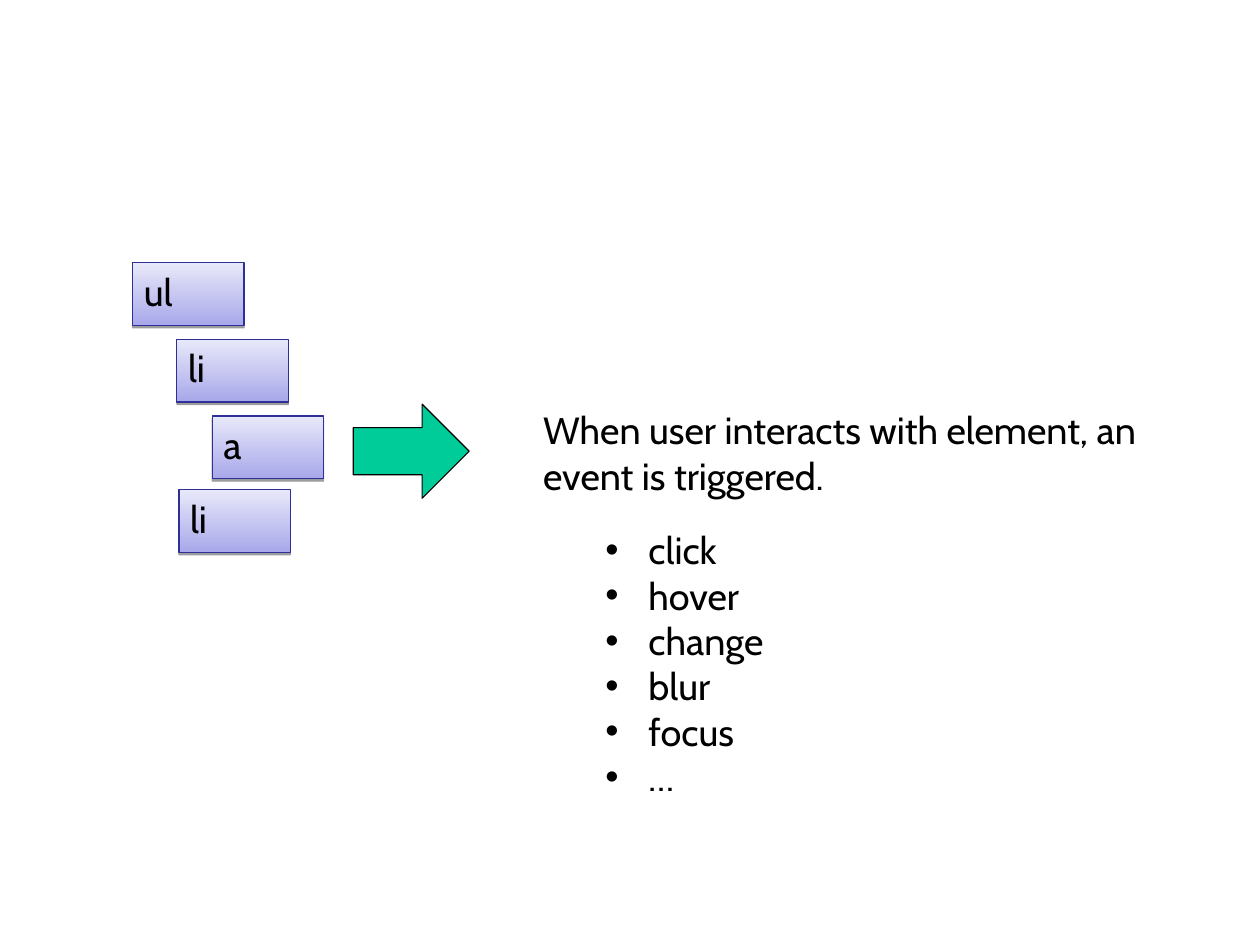
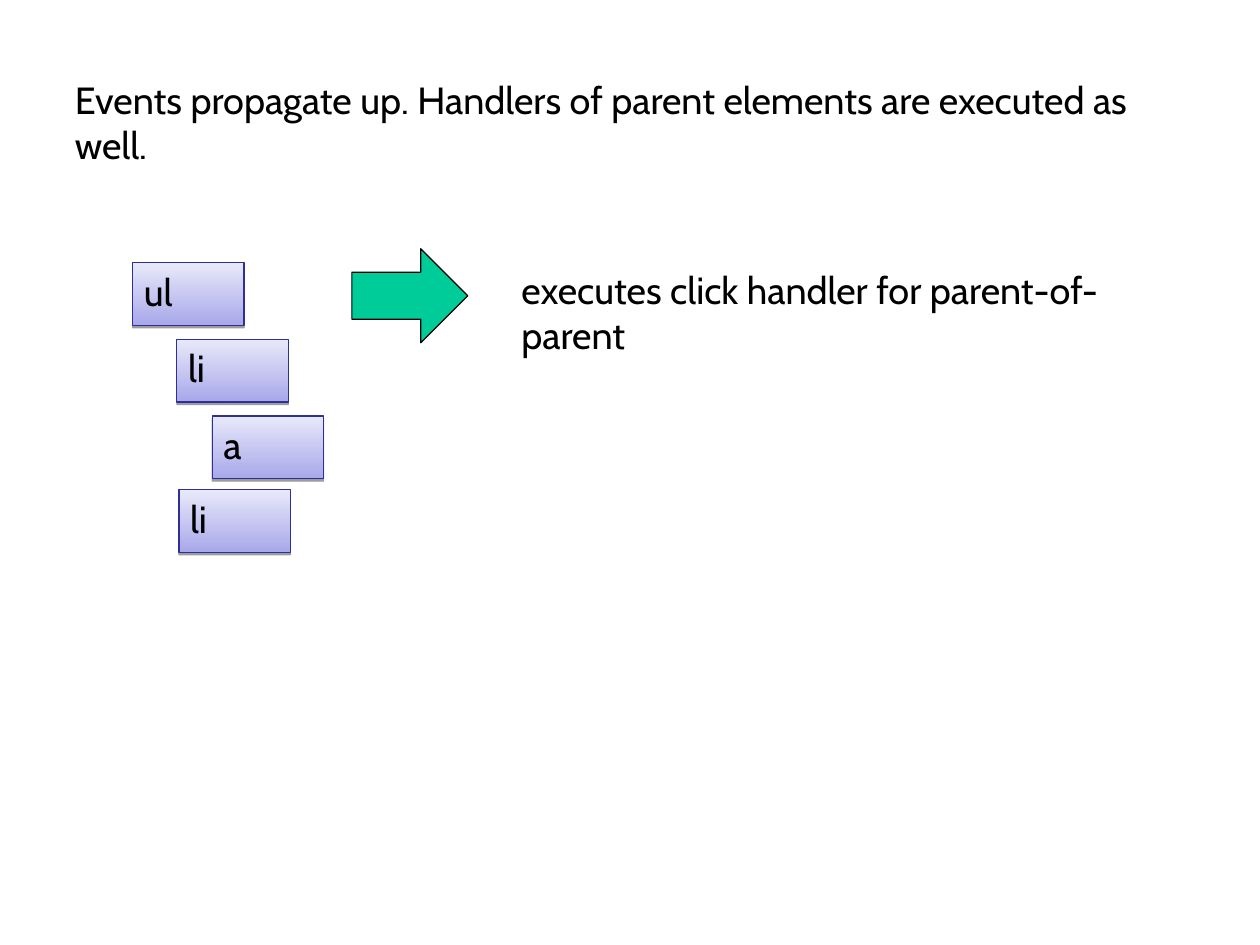
"""Build two slides on how events fire and travel up the element tree."""
from dataclasses import dataclass

import pptx
import pptx.dml.color
import pptx.enum.shapes
import pptx.enum.text
import pptx.oxml
import pptx.oxml.ns
import pptx.presentation
import pptx.shapes.autoshape
import pptx.slide
import pptx.text.text
import pptx.util

WIDE, HIGH = pptx.util.Pt(800), pptx.util.Pt(600.12)
FONT, SIZE = "Cabin", 24
HUES = {
    "ink": "000000",
    "paper": "FFFFFF",
    "low": "A8A8EA",
    "top": "E8E8FA",
    "edge": "2F2F98",
    "arrow": "00CC99",
}
KINDS = pptx.enum.shapes.MSO_SHAPE


@dataclass(frozen=True)
class Box:
    """A frame in percent of the slide's width and height."""
    left: float
    top: float
    width: float
    height: float

    def frame(self) -> tuple[int, int, int, int]:
        """Return left, top, width and height as lengths."""
        return (
            round(self.left * WIDE / 100),
            round(self.top * HIGH / 100),
            round(self.width * WIDE / 100),
            round(self.height * HIGH / 100),
        )


@dataclass(frozen=True)
class Tag:
    """An element of the tree and where its box starts."""
    name: str
    left: float
    top: float


TAG_WIDTH, TAG_HEIGHT = 8.84, 6.62
TAGS = (
    Tag("ul", 10.53, 27.82),
    Tag("li", 14.04, 35.92),
    Tag("a", 16.85, 44.03),
    Tag("li", 14.2, 51.84),
)
EVENTS = ("click", "hover", "change", "blur", "focus", "…")


def hue(name: str) -> pptx.dml.color.RGBColor:
    """Look up a colour."""
    return pptx.dml.color.RGBColor.from_string(HUES[name])


def add_dot(para: pptx.text.text._Paragraph) -> None:
    """Give a paragraph a hanging bullet."""
    props = para._p.get_or_add_pPr()
    indent = pptx.util.Inches(0.38)
    props.set("marL", str(indent))
    props.set("indent", str(-indent))
    space = pptx.oxml.ns.nsdecls("a")
    for part in (
        f'<a:buClr {space}><a:srgbClr val="{HUES["ink"]}"/></a:buClr>',
        f'<a:buFont {space} typeface="Arial"/>',
        f'<a:buChar {space} char="•"/>',
    ):
        props.append(pptx.oxml.parse_xml(part))


def write(frame: pptx.text.text.TextFrame, *lines: str, dots: bool = False) -> None:
    """Fill a text frame, one paragraph a line."""
    frame.word_wrap = True
    frame.auto_size = pptx.enum.text.MSO_AUTO_SIZE.NONE
    frame.vertical_anchor = pptx.enum.text.MSO_ANCHOR.TOP
    frame.text = "\n".join(lines)
    for para in frame.paragraphs:
        para.alignment = pptx.enum.text.PP_ALIGN.LEFT
        if dots:
            add_dot(para)
        para.font.name = FONT
        para.font.size = pptx.util.Pt(SIZE)
        para.font.color.rgb = hue("ink")


def add_text(slide: pptx.slide.Slide, box: Box, *lines: str, dots: bool = False) -> None:
    """Add a text box."""
    write(slide.shapes.add_textbox(*box.frame()).text_frame, *lines, dots=dots)


def add_form(
    slide: pptx.slide.Slide, kind: KINDS, box: Box, line: str, weight: float = 0.75
) -> pptx.shapes.autoshape.Shape:
    """Add an outlined shape with no shadow."""
    form = slide.shapes.add_shape(kind, *box.frame())
    form.shadow.inherit = False
    form.line.color.rgb = hue(line)
    form.line.width = pptx.util.Pt(weight)
    return form


def add_tag(slide: pptx.slide.Slide, tag: Tag) -> None:
    """Add a shaded box with an element's name."""
    box = Box(tag.left, tag.top, TAG_WIDTH, TAG_HEIGHT)
    form = add_form(slide, KINDS.RECTANGLE, box, "edge")
    form.fill.gradient()
    form.fill.gradient_angle = 90
    for stop, name in zip(form.fill.gradient_stops, ("low", "top")):
        stop.color.rgb = hue(name)
    glow = form._element.spPr.find(pptx.oxml.ns.qn("a:effectLst"))
    glow.append(pptx.oxml.parse_xml(
        f'<a:outerShdw {pptx.oxml.ns.nsdecls("a")} blurRad="0" '
        f'dist="{pptx.util.Pt(1.6)}" dir="5400000" rotWithShape="0">'
        f'<a:srgbClr val="{HUES["ink"]}"><a:alpha val="38000"/></a:srgbClr>'
        "</a:outerShdw>"
    ))
    write(form.text_frame, tag.name)


def add_arrow(slide: pptx.slide.Slide, left: float, top: float) -> None:
    """Add the green arrow that leads from a tag to its text."""
    form = add_form(slide, KINDS.RIGHT_ARROW, Box(left, top, 9.2, 9.95), "ink")
    form.fill.solid()
    form.fill.fore_color.rgb = hue("arrow")


def add_note(slide: pptx.slide.Slide, box: Box, words: str) -> None:
    """Add a white panel with text."""
    form = add_form(slide, KINDS.RECTANGLE, box, "paper", 2)
    form.fill.solid()
    form.fill.fore_color.rgb = hue("paper")
    write(form.text_frame, words)


def add_slide(deck: pptx.presentation.Presentation, layout: str) -> pptx.slide.Slide:
    """Add a slide that shows the element tree."""
    slide = deck.slides.add_slide(deck.slide_layouts.get_by_name(layout))
    for tag in TAGS:
        add_tag(slide, tag)
    return slide


def show_fire(deck: pptx.presentation.Presentation) -> None:
    """Build the slide on how events start."""
    slide = add_slide(deck, "Blank")
    add_arrow(slide, 28.04, 42.77)
    add_text(slide, Box(42.21, 42.47, 50.05, 10.79),
             "When user interacts with element, an event is triggered.")
    add_text(slide, Box(47.16, 55.16, 45, 29.98), *EVENTS, dots=True)


def show_climb(deck: pptx.presentation.Presentation) -> None:
    """Build the slide on how events move up."""
    slide = add_slide(deck, "Title Only")
    title = slide.shapes.title
    title.left, title.top, title.width, title.height = Box(5.04, 7.47, 88.93, 10.79).frame()
    write(title.text_frame,
          "Events propagate up. Handlers of parent elements are executed as well.")
    add_arrow(slide, 27.93, 26.32)
    add_note(slide, Box(40.5, 27.6, 55.63, TAG_HEIGHT),
             "executes click handler for parent-of-parent")


def main() -> None:
    """Build and save the deck."""
    deck = pptx.Presentation()
    deck.slide_width = WIDE
    deck.slide_height = HIGH
    show_fire(deck)
    show_climb(deck)
    deck.save("out.pptx")


if __name__ == "__main__":
    main()
